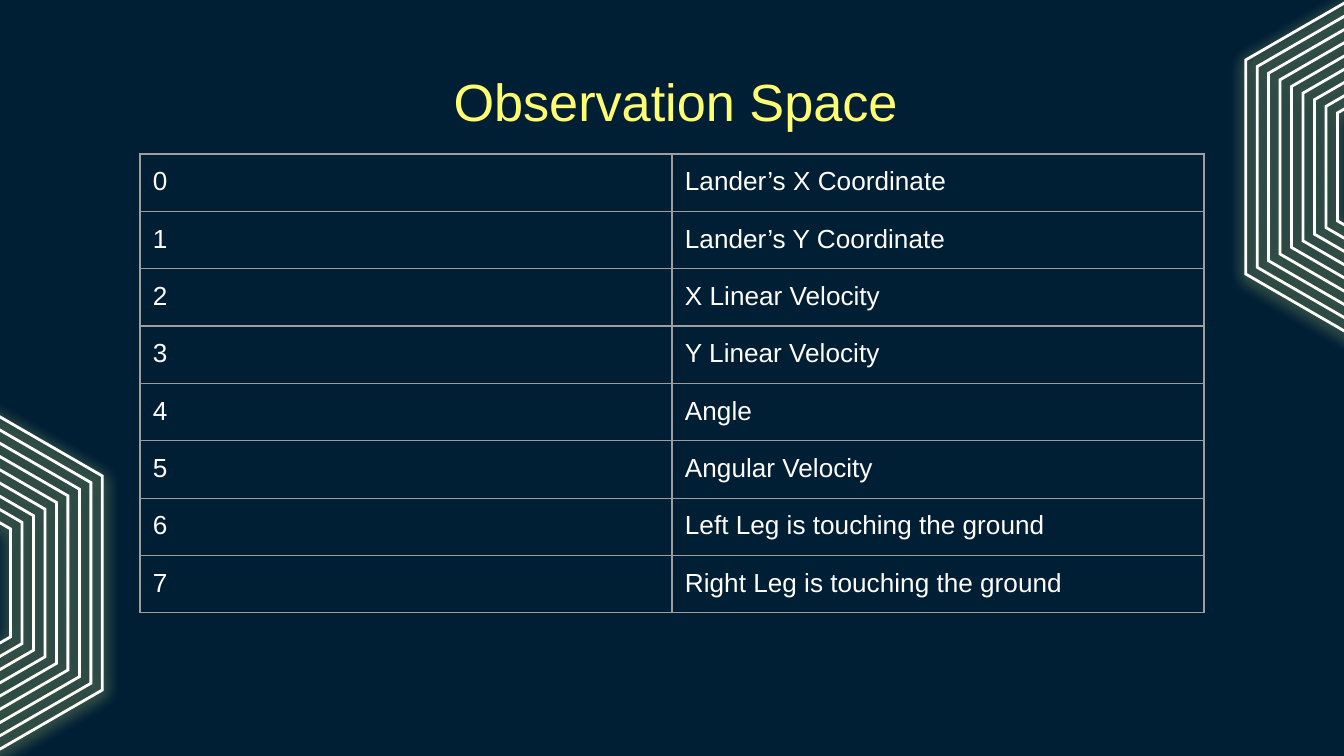
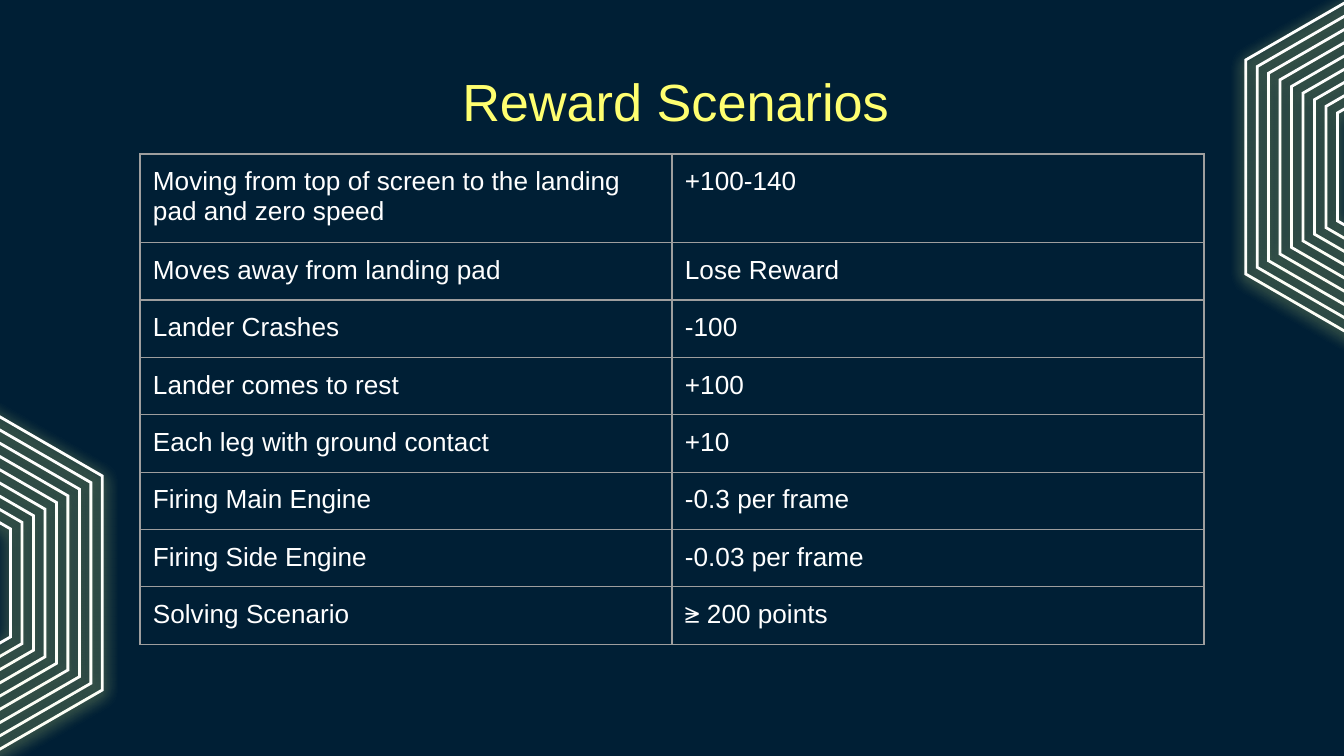
import math
from dataclasses import dataclass

import pptx
import pptx.dml.color
import pptx.enum.text
import pptx.oxml
import pptx.oxml.ns
import pptx.util


@dataclass(frozen=True)
class Theme:
    background: str = "001F35"
    title: str = "FFFF70"
    text: str = "FFFFFF"
    hexagon: str = "FFFFFF"
    glow: str = "ECFF8C"
    border: str = "9E9E9E"
    font: str = "Arial"
    title_size: int = 28
    text_size: int = 14


THEME = Theme()
WIDTH, HEIGHT = 1344, 756
PX = pptx.util.Inches(10) / WIDTH
INSET = round(13 * PX)
LEFT, CENTER = pptx.enum.text.PP_ALIGN.LEFT, pptx.enum.text.PP_ALIGN.CENTER
NAMESPACE = pptx.oxml.ns.nsdecls("a")

# Hexagon nests, in px: centres of the two nests, radii from outside to inside
NEST_CENTERS = [(-83, 583), (1431, 167)]
RING_COUNT, OUTER_RADIUS, INNER_RADIUS = 9, 214, 108

# Table grid, in px
TABLE_LEFT, TABLE_TOP, COLUMN_WIDTH, ROW_HEIGHT = 140, 154, 532, 56

SLIDES = [
    ("Observation Space", [
        ("0", "Lander’s X Coordinate"),
        ("1", "Lander’s Y Coordinate"),
        ("2", "X Linear Velocity"),
        ("3", "Y Linear Velocity"),
        ("4", "Angle"),
        ("5", "Angular Velocity"),
        ("6", "Left Leg is touching the ground"),
        ("7", "Right Leg is touching the ground"),
    ]),
    ("Reward Scenarios", [
        ("Moving from top of screen to the landing pad and zero speed", "+100-140"),
        ("Moves away from landing pad", "Lose Reward"),
        ("Lander Crashes", "-100"),
        ("Lander comes to rest", "+100"),
        ("Each leg with ground contact", "+10"),
        ("Firing Main Engine", "-0.3 per frame"),
        ("Firing Side Engine", "-0.03 per frame"),
        ("Solving Scenario", "⪭ 200 points"),
    ]),
]


def emu(*lengths):
    return [round(length * PX) for length in lengths]


def write(holder, text, size=THEME.text_size, color=THEME.text, align=LEFT):
    """Fill a text frame or table cell's frame with one formatted paragraph."""
    holder.word_wrap = True
    paragraph = holder.paragraphs[0]
    paragraph.alignment = align
    run = paragraph.add_run()
    run.text = text
    run.font.name = THEME.font
    run.font.size = pptx.util.Pt(size)
    run.font.color.rgb = pptx.dml.color.RGBColor.from_string(color)


presentation = pptx.Presentation()
presentation.slide_width, presentation.slide_height = emu(WIDTH, HEIGHT)

for title, rows in SLIDES:
    slide = presentation.slides.add_slide(presentation.slide_layouts[6])
    slide.background.fill.solid()
    slide.background.fill.fore_color.rgb = pptx.dml.color.RGBColor.from_string(THEME.background)

    # Glowing nests of hexagons
    for center_x, center_y in NEST_CENTERS:
        nest = slide.shapes.add_group_shape()
        for ring in range(RING_COUNT):
            radius = OUTER_RADIUS - ring * (OUTER_RADIUS - INNER_RADIUS) / (RING_COUNT - 1)
            corners = [
                emu(center_x + radius * math.sin(math.radians(angle)),
                    center_y - radius * math.cos(math.radians(angle)))
                for angle in range(0, 360, 60)
            ]
            builder = nest.shapes.build_freeform(*corners[0])
            builder.add_line_segments(corners[1:], close=True)
            hexagon = builder.convert_to_shape()
            hexagon.fill.background()
            hexagon.line.width = pptx.util.Pt(1.5)
            hexagon.line.color.rgb = pptx.dml.color.RGBColor.from_string(THEME.hexagon)
            hexagon.shadow.inherit = False
            properties = hexagon._element.spPr
            properties.find(pptx.oxml.ns.qn("a:ln")).append(
                pptx.oxml.parse_xml(f'<a:miter {NAMESPACE} lim="800000"/>'))
            properties.find(pptx.oxml.ns.qn("a:effectLst")).append(pptx.oxml.parse_xml(
                f'<a:outerShdw {NAMESPACE} blurRad="{pptx.util.Pt(7.9)}" dist="{pptx.util.Pt(1.5)}" '
                f'dir="5400000" algn="bl" rotWithShape="0"><a:srgbClr val="{THEME.glow}">'
                '<a:alpha val="90000"/></a:srgbClr></a:outerShdw>'))

    # Title
    title_frame = slide.shapes.add_textbox(*emu(105, 79, 1141, 43)).text_frame
    title_frame.vertical_anchor = pptx.enum.text.MSO_ANCHOR.MIDDLE
    title_frame.margin_left = title_frame.margin_right = INSET
    title_frame.margin_top = title_frame.margin_bottom = INSET
    write(title_frame, title, size=THEME.title_size, color=THEME.title, align=CENTER)

    # Table with thin borders and no fill
    table = slide.shapes.add_table(
        len(rows), 2, *emu(TABLE_LEFT, TABLE_TOP, 2 * COLUMN_WIDTH, len(rows) * ROW_HEIGHT)).table
    table.first_row = table.horz_banding = False
    for row_index, row in enumerate(rows):
        for column_index, text in enumerate(row):
            cell = table.cell(row_index, column_index)
            cell.margin_left = cell.margin_right = INSET
            cell.margin_top = cell.margin_bottom = INSET
            cell_properties = cell._tc.get_or_add_tcPr()
            for side in ("lnL", "lnR", "lnT", "lnB"):
                cell_properties.append(pptx.oxml.parse_xml(
                    f'<a:{side} {NAMESPACE} w="{pptx.util.Pt(0.75)}"><a:solidFill>'
                    f'<a:srgbClr val="{THEME.border}"/></a:solidFill></a:{side}>'))
            cell.fill.background()
            write(cell.text_frame, text)

presentation.save("out.pptx")
